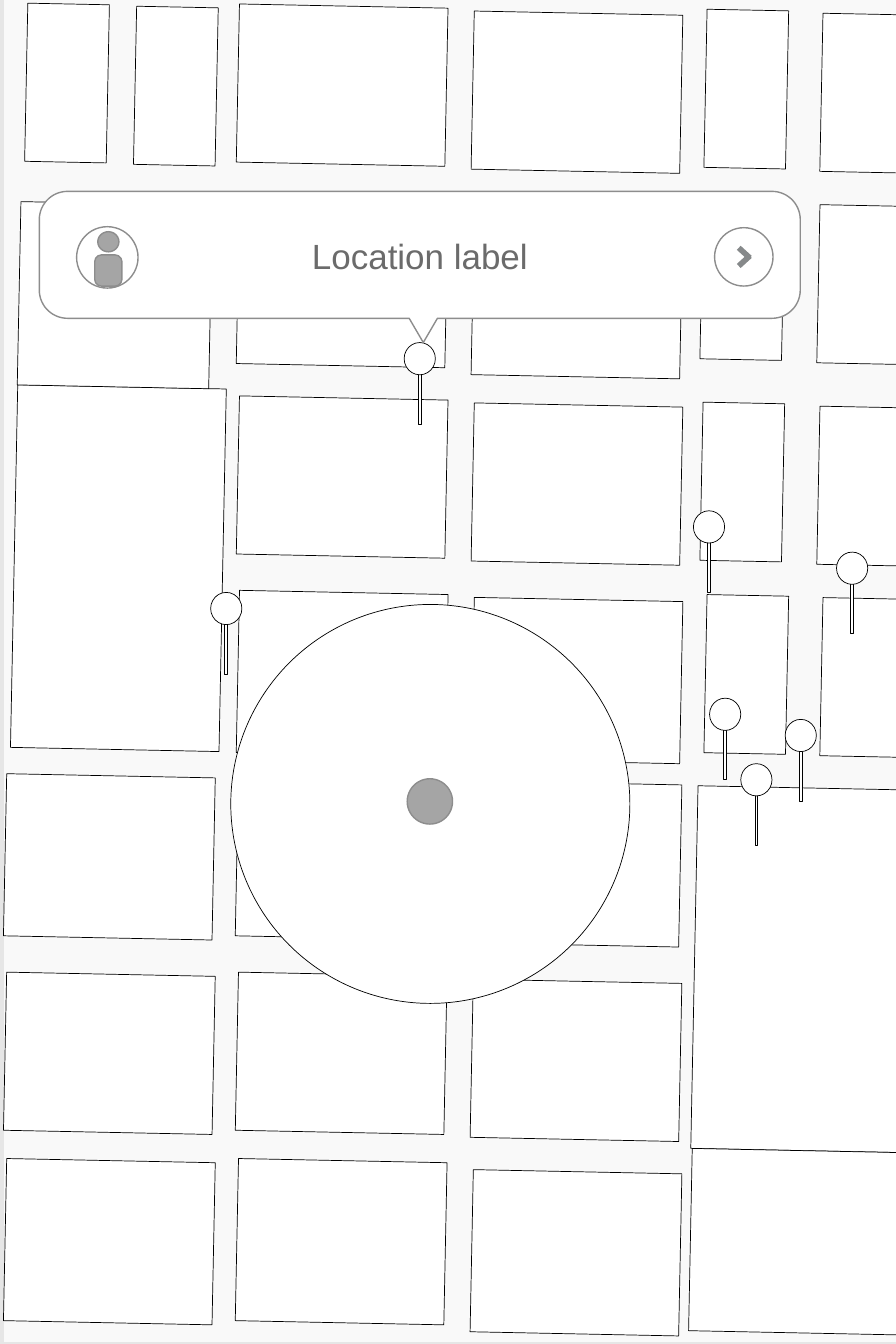
"""Build a street map slide with pins, a position marker and a location callout."""
from dataclasses import dataclass
from math import cos, radians, sin

from lxml.etree import SubElement
from pptx import Presentation
from pptx.dml.color import RGBColor
from pptx.enum.shapes import MSO_CONNECTOR as Connector, MSO_SHAPE as Shape
from pptx.enum.text import MSO_ANCHOR as Anchor, PP_ALIGN as Align
from pptx.oxml.ns import qn
from pptx.util import Inches, Pt


@dataclass(frozen=True)
class Theme:
    backdrop: RGBColor = RGBColor.from_string("E6E6E6")
    street: RGBColor = RGBColor.from_string("F9F9F9")
    white: RGBColor = RGBColor.from_string("FFFFFF")
    black: RGBColor = RGBColor.from_string("000000")
    grey: RGBColor = RGBColor.from_string("A5A5A5")
    outline: RGBColor = RGBColor.from_string("8D8D8D")
    chevron: RGBColor = RGBColor.from_string("86898A")
    text: RGBColor = RGBColor.from_string("6B6B6B")
    font: str = "Arial"
    label_size: int = 25
    thin: float = 0.5
    medium: float = 1
    thick: float = 4


theme = Theme()


def style(shape, fill, line, width):
    shape.shadow.inherit = False
    shape.fill.solid()
    shape.fill.fore_color.rgb = fill
    if line is None:
        shape.line.fill.background()
    else:
        shape.line.color.rgb = line
        shape.line.width = Pt(width)


def add(shapes, kind, left, top, width, height,
        fill=theme.white, line=theme.black, weight=theme.thin):
    shape = shapes.add_shape(kind, Inches(left), Inches(top), Inches(width), Inches(height))
    style(shape, fill, line, weight)
    return shape


deck = Presentation()
deck.slide_width, deck.slide_height = Inches(8.89), Inches(13.34)
page = deck.slides.add_slide(deck.slide_layouts[6])
page.background.fill.solid()
page.background.fill.fore_color.rgb = theme.backdrop

street_map = page.shapes.add_group_shape()
add(street_map.shapes, Shape.RECTANGLE, 0.04, 0, 8.85, 13.32, theme.street, None)

TILT = 1.15
SHORT, TALL = 1.57, 1.61
wide, narrow = 2.07, 0.81
block_columns = [
    (0.14, wide, [(3.84, 3.6)]),
    (2.36, wide, [(0.06, SHORT), (2.02, TALL), (3.95, SHORT), (5.88, TALL)]),
    (2.35, wide, [(7.7, TALL), (9.67, SHORT), (11.52, TALL)]),
    (4.69, wide, [(0.13, SHORT), (2.13, TALL), (4.02, SHORT), (5.95, TALL)]),
    (4.68, wide, [(7.77, TALL), (9.74, SHORT), (11.63, TALL)]),
    (0.19, 1.9, [(2.02, 1.82)]),
    (1.34, narrow, [(0.07, SHORT)]),
    (0.26, narrow, [(0.04, SHORT)]),
    (6.89, wide, [(7.82, 3.6)]),
    (6.85, 2.11, [(11.42, 1.81)]),
    (7, narrow, [(0.1, SHORT), (5.91, SHORT)]),
    (6.96, narrow, [(2, SHORT), (4, SHORT)]),
    (8.15, narrow, [(0.14, SHORT), (5.94, SHORT)]),
    (8.12, narrow, [(2.04, SHORT), (4.04, SHORT)]),
    (0.05, wide, [(7.7, TALL), (9.67, SHORT), (11.52, TALL)]),
]
for left, width, blocks in block_columns:
    for top, height in blocks:
        block = add(street_map.shapes, Shape.RECTANGLE, left, top, width, height)
        block.rotation = TILT

markers = page.shapes.add_group_shape()
add(markers.shapes, Shape.OVAL, 2.29, 6, 3.96, 3.96)
add(markers.shapes, Shape.OVAL, 4.04, 7.73, 0.45, 0.45,
    theme.grey, theme.outline, theme.medium)

pins = [(4.01, 3.4), (2.09, 5.88), (7.35, 7.58), (7.79, 7.14),
        (7.04, 6.93), (8.3, 5.48), (6.88, 5.07)]
for left, top in pins:
    add(markers.shapes, Shape.RECTANGLE, left + 0.14, top + 0.28, 0.03, 0.53)
    add(markers.shapes, Shape.OVAL, left, top, 0.31, 0.32)

left, top, right, bottom, radius = 0.39, 1.9, 7.94, 3.16, 0.28
pointer = [(4.34, bottom), (4.2, 3.4), (4.06, bottom)]
corners = [(right - radius, top + radius, -90), (right - radius, bottom - radius, 0),
           (left + radius, bottom - radius, 90), (left + radius, top + radius, 180)]
outline = []
for center_x, center_y, start in corners:
    if start == 90:
        outline += pointer
    for step in range(0, 91, 6):
        angle = radians(start + step)
        outline.append((center_x + radius * cos(angle), center_y + radius * sin(angle)))
points = [(Inches(x), Inches(y)) for x, y in outline]
builder = markers.shapes.build_freeform(*points[0])
builder.add_line_segments(points[1:], close=True)
callout = builder.convert_to_shape()
style(callout, theme.white, theme.outline, theme.medium)

box = callout.text_frame
box.word_wrap = True
box.vertical_anchor = Anchor.MIDDLE
box.margin_left = box.margin_right = box.margin_top = Inches(0.06)
box.margin_bottom = Inches(0.28)
para = box.paragraphs[0]
para.alignment = Align.CENTER
span = para.add_run()
span.text = "Location label"
span.font.name = theme.font
span.font.size = Pt(theme.label_size)
span.font.color.rgb = theme.text

add(markers.shapes, Shape.OVAL, 0.76, 2.25, 0.61, 0.61,
    theme.white, theme.outline, theme.medium)
add(markers.shapes, Shape.OVAL, 0.97, 2.3, 0.21, 0.2,
    theme.grey, theme.outline, theme.medium)
person_body = add(markers.shapes, Shape.ROUNDED_RECTANGLE, 0.94, 2.53, 0.27, 0.31,
                  theme.grey, theme.outline, theme.medium)
person_body.adjustments[0] = 0.25
add(markers.shapes, Shape.OVAL, 7.09, 2.26, 0.58, 0.58,
    theme.white, theme.outline, theme.medium)

for start_y, end_y in [(2.46, 2.56), (2.64, 2.54)]:
    stroke = markers.shapes.add_connector(
        Connector.STRAIGHT, Inches(7.33), Inches(start_y), Inches(7.44), Inches(end_y))
    stroke.line.color.rgb = theme.chevron
    stroke.line.width = Pt(theme.thick)
    SubElement(stroke._element.spPr, qn("a:effectLst"))

deck.save("out.pptx")
